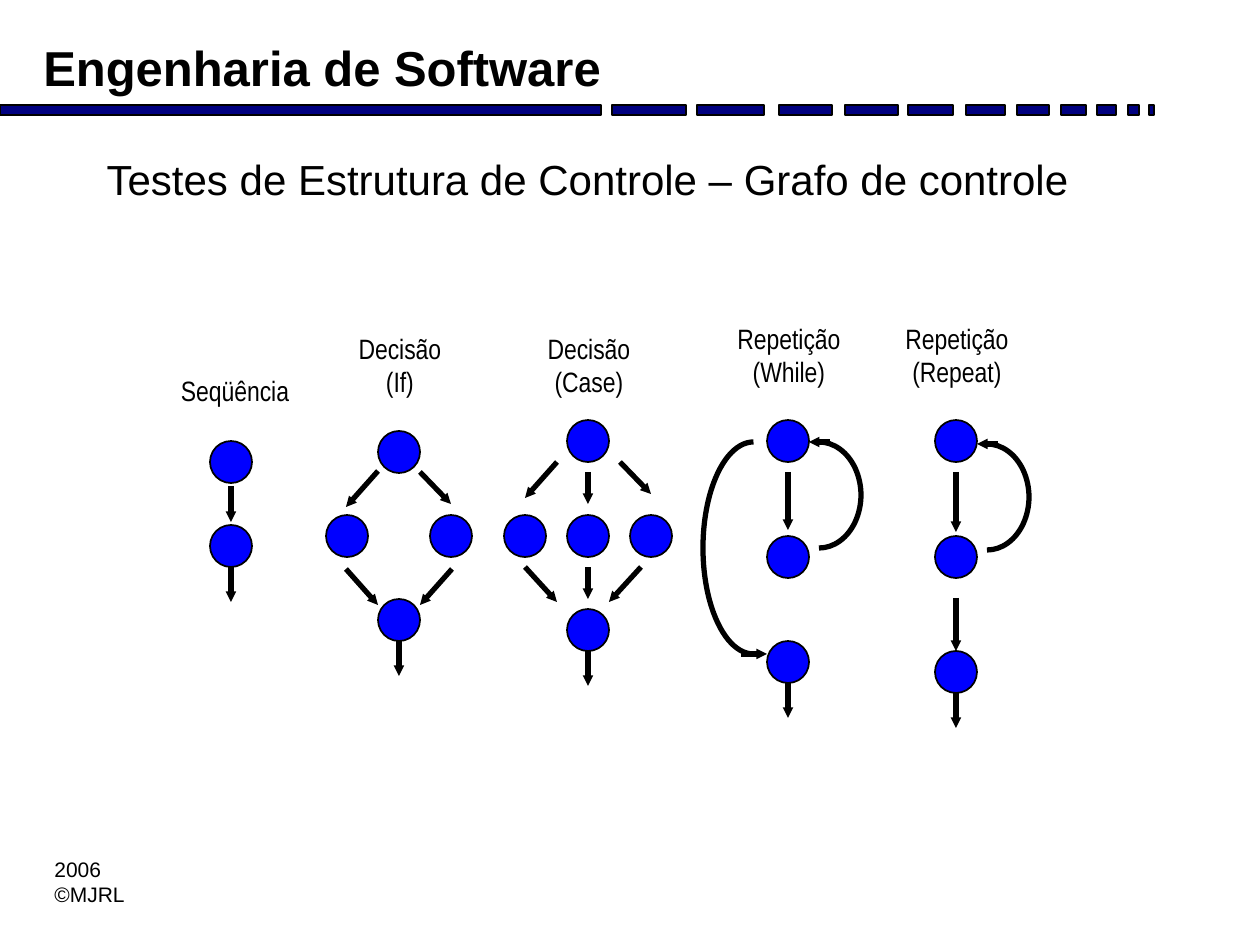
from pptx import Presentation
from pptx.dml.color import RGBColor
from pptx.enum.shapes import MSO_CONNECTOR, MSO_SHAPE
from pptx.enum.text import MSO_ANCHOR, MSO_AUTO_SIZE, PP_ALIGN
from pptx.oxml.ns import qn
from pptx.util import Pt
from lxml import etree

EMU_PER_PX = 914400 / 126
BLACK = RGBColor(0, 0, 0)
NAVY = RGBColor(0, 0, 0x80)
BLUE = RGBColor(0, 0, 0xFF)

HEADING = "Engenharia de Software"
TITLE = "Testes de Estrutura de Controle – Grafo de controle"
FOOTER = ["2006", "©MJRL"]

BAR_TOP, BAR_HEIGHT = 105, 10
BARS = [  # left, width
    (0, 601), (612, 74), (697, 67), (779, 53), (845, 53), (908, 45),
    (966, 39), (1017, 32), (1061, 25), (1097, 19), (1128, 11), (1149, 5),
]

NODE = 42
EXIT_LENGTH = 35
RIGHT_HALF, LEFT_HALF = (270, 90), (90, 270)  # start and end angles

# x values count from the centre of each graph; the last node has the exit arrow.
GRAPHS = [
    {"centre": 231, "label": ["Seqüência"], "label_box": (-63, 367, 134, 47),
     "nodes": [(0, 462), (0, 546)],
     "arrows": [(0, 486, 0, 522)], "arcs": []},
    {"centre": 399, "label": ["Decisão", "(If)"], "label_box": (-57, 325, 116, 81),
     "nodes": [(0, 452), (-52, 536), (52, 536), (0, 620)],
     "arrows": [(-21, 471, -53, 507), (21, 472, 52, 504),
                (-53, 569, -21, 605), (53, 569, 21, 605)], "arcs": []},
    {"centre": 588, "label": ["Decisão", "(Case)"], "label_box": (-57, 325, 116, 81),
     "nodes": [(0, 441), (-63, 536), (0, 536), (63, 536), (0, 630)],
     "arrows": [(-31, 462, -63, 498), (0, 472, 0, 504), (32, 462, 63, 494),
                (-63, 567, -31, 602), (0, 567, 0, 599), (53, 567, 21, 602)],
     "arcs": []},
    {"centre": 788, "label": ["Repetição", "(While)"], "label_box": (-67, 315, 136, 81),
     "nodes": [(0, 441), (0, 557), (0, 662)],
     "arrows": [(0, 472, 0, 530), (42, 442, 21, 442), (-47, 654, -21, 654)],
     "arcs": [(-11, 442, 84, 106, RIGHT_HALF), (-85, 442, 101, 212, LEFT_HALF)]},
    {"centre": 956, "label": ["Repetição", "(Repeat)"], "label_box": (-67, 315, 136, 81),
     "nodes": [(0, 441), (0, 557), (0, 672)],
     "arrows": [(0, 472, 0, 532), (0, 598, 0, 651), (42, 444, 21, 444)],
     "arcs": [(-11, 444, 84, 106, RIGHT_HALF)]},
]


def px(*lengths):
    return [round(length * EMU_PER_PX) for length in lengths]


def set_font(paragraph, size, name="Arial", bold=False):
    paragraph.font.name = name
    paragraph.font.size = Pt(size)
    paragraph.font.bold = bold
    paragraph.font.color.rgb = BLACK


def add_text(slide, box, lines, size, name="Arial", bold=False, align=PP_ALIGN.LEFT):
    frame = slide.shapes.add_textbox(*px(*box)).text_frame
    frame.word_wrap = False
    frame.text = "\n".join(lines)
    for paragraph in frame.paragraphs:
        paragraph.alignment = align
        set_font(paragraph, size, name, bold)


def add_filled(slide, kind, box, color):
    shape = slide.shapes.add_shape(kind, *px(*box))
    shape.shadow.inherit = False
    shape.fill.solid()
    shape.fill.fore_color.rgb = color
    shape.line.color.rgb = BLACK
    shape.line.width = Pt(1)


def add_arrow(slide, *ends):
    arrow = slide.shapes.add_connector(MSO_CONNECTOR.STRAIGHT, *px(*ends))
    arrow.line.color.rgb = BLACK
    arrow.line.width = Pt(3)
    etree.SubElement(arrow.line._get_or_add_ln(), qn("a:tailEnd"),
                     type="triangle", w="sm", len="sm")
    etree.SubElement(arrow._element.spPr, qn("a:effectLst"))


def add_arc(slide, box, angles):
    arc = slide.shapes.add_shape(MSO_SHAPE.ARC, *px(*box))
    arc.shadow.inherit = False
    for index, angle in enumerate(angles):
        arc.adjustments[index] = angle * 0.6  # 60000ths of a degree over 100000
    arc.fill.background()
    arc.line.color.rgb = BLACK
    arc.line.width = Pt(3)


def add_graph(slide, graph):
    centre = graph["centre"]
    for x1, y1, x2, y2 in graph["arrows"]:
        add_arrow(slide, centre + x1, y1, centre + x2, y2)
    for left, top, width, height, angles in graph["arcs"]:
        add_arc(slide, (centre + left, top, width, height), angles)
    for x, y in graph["nodes"]:
        box = (centre + x - NODE / 2, y - NODE / 2, NODE, NODE)
        add_filled(slide, MSO_SHAPE.OVAL, box, BLUE)
    exit_top = graph["nodes"][-1][1] + NODE / 2
    add_arrow(slide, centre, exit_top, centre, exit_top + EXIT_LENGTH)
    left, *rest = graph["label_box"]
    add_text(slide, (centre + left, *rest), graph["label"], 16,
             "Arial Narrow", align=PP_ALIGN.CENTER)


def main():
    presentation = Presentation()
    presentation.slide_width, presentation.slide_height = px(1260, 945)
    slide = presentation.slides.add_slide(presentation.slide_layouts[5])

    title = slide.shapes.title
    title.left, title.top, title.width, title.height = px(94, 147, 1071, 95)
    frame = title.text_frame
    frame.text = TITLE
    frame.word_wrap = True
    frame.auto_size = MSO_AUTO_SIZE.NONE
    frame.vertical_anchor = MSO_ANCHOR.TOP
    frame.paragraphs[0].alignment = PP_ALIGN.LEFT
    set_font(frame.paragraphs[0], 24)

    for left, width in BARS:
        add_filled(slide, MSO_SHAPE.RECTANGLE, (left, BAR_TOP, width, BAR_HEIGHT), NAVY)
    add_text(slide, (31, 31, 609, 71), [HEADING], 28, bold=True)
    add_text(slide, (42, 850, 100, 63), FOOTER, 12)
    for graph in GRAPHS:
        add_graph(slide, graph)

    presentation.save("out.pptx")


if __name__ == "__main__":
    main()
